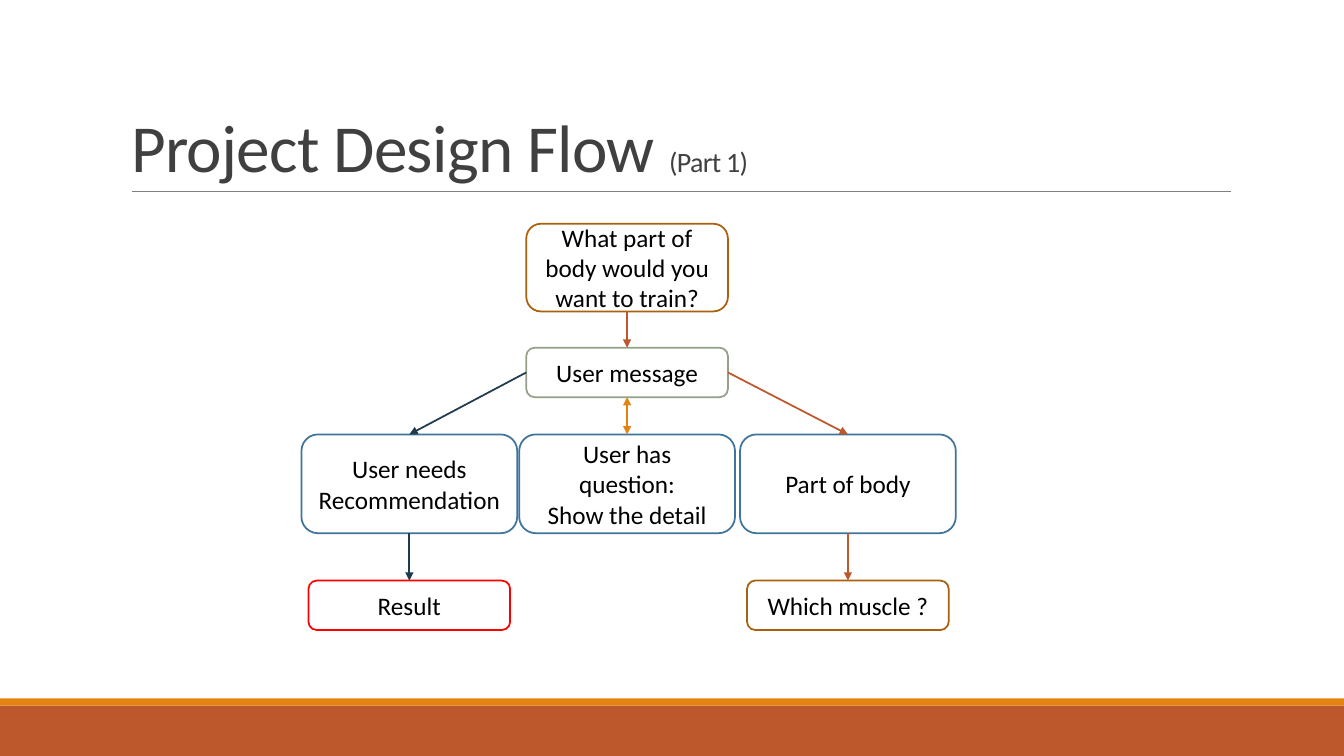
from pptx import Presentation
from pptx import util as u
from pptx.dml.color import RGBColor
from pptx.enum import shapes, text
from pptx.oxml.ns import qn
from lxml import etree

WHITE = RGBColor(0xFF, 0xFF, 0xFF)
BLACK = RGBColor(0, 0, 0)
CHARCOAL = RGBColor(0x40, 0x40, 0x40)
GREY = RGBColor(0x80, 0x80, 0x80)
RUST = RGBColor(0xBD, 0x58, 0x2C)
ORANGE = RGBColor(0xE4, 0x83, 0x12)
BROWN = RGBColor(0xA9, 0x61, 0x0D)
SAGE = RGBColor(0x94, 0xA0, 0x88)
BLUE = RGBColor(0x40, 0x74, 0x9B)
NAVY = RGBColor(0x20, 0x3A, 0x4E)
RED = RGBColor(0xFF, 0, 0)
TOP, LEFT, BOTTOM, RIGHT = range(4)


def write(paragraph, words, size=18, color=BLACK, align=text.PP_ALIGN.CENTER, spacing=None):
    paragraph.alignment = align
    run = paragraph.add_run()
    run.text = words
    run.font.name = "Calibri"
    run.font.size = u.Pt(size)
    run.font.color.rgb = color
    if spacing is not None:
        run._r.get_or_add_rPr().set("spc", str(int(spacing * 100)))


def draw_line(slide, start, end, color, width, heads=()):
    ends = [u.Inches(value) for value in (*start, *end)]
    line = slide.shapes.add_connector(shapes.MSO_CONNECTOR.STRAIGHT, *ends)
    line.line.color.rgb = color
    line.line.width = u.Pt(width)
    outline = line.line._get_or_add_ln()
    for head in heads:
        etree.SubElement(outline, qn(head), type="triangle")
    etree.SubElement(line._element.spPr, qn("a:effectLst"))
    return line


def draw_footer(slide, left, top, width, height):
    stripe = 0.07
    for y, depth, color in ((top + stripe, height - stripe, RUST), (top, stripe, ORANGE)):
        band = slide.shapes.add_shape(
            shapes.MSO_SHAPE.RECTANGLE, u.Inches(left), u.Inches(y), u.Inches(width), u.Inches(depth))
        band.shadow.inherit = False
        band.fill.solid()
        band.fill.fore_color.rgb = color
        band.line.fill.background()


def draw_title(slide, left, top, width, height):
    title = slide.shapes.title
    title.left, title.top = u.Inches(left), u.Inches(top)
    title.width, title.height = u.Inches(width), u.Inches(height)
    frame = title.text_frame
    frame.auto_size = text.MSO_AUTO_SIZE.NONE
    frame.vertical_anchor = text.MSO_ANCHOR.BOTTOM
    heading = frame.paragraphs[0]
    heading.line_spacing = 0.85
    for words, size in (("Project Design Flow ", 48), ("(Part 1)", 20)):
        write(heading, words, size=size, color=CHARCOAL, align=text.PP_ALIGN.LEFT, spacing=-0.5)
    bottom = top + height
    draw_line(slide, (left + 0.11, bottom), (left + width + 0.01, bottom), GREY, 0.5)


def draw_step(slide, center, top, width, height, lines, color, fill=None):
    step = slide.shapes.add_shape(
        shapes.MSO_SHAPE.ROUNDED_RECTANGLE, u.Inches(center - width / 2), u.Inches(top),
        u.Inches(width), u.Inches(height))
    step.shadow.inherit = False
    if fill is None:
        step.fill.background()
    else:
        step.fill.solid()
        step.fill.fore_color.rgb = fill
    step.line.color.rgb = color
    step.line.width = u.Pt(1.25)
    frame = step.text_frame
    frame.word_wrap = True
    frame.vertical_anchor = text.MSO_ANCHOR.MIDDLE
    for index, words in enumerate(lines):
        write(frame.add_paragraph() if index else frame.paragraphs[0], words)
    return step


def join(slide, source, source_side, target, target_side, color, both_ways=False):
    heads = ("a:headEnd", "a:tailEnd") if both_ways else ("a:tailEnd",)
    arrow = draw_line(slide, (0, 0), (0, 0), color, 1.25, heads)
    arrow.begin_connect(source, source_side)
    arrow.end_connect(target, target_side)


def draw_flow(slide, left, top, width):
    wide, narrow, low = 2.14, 2, 0.49
    first, middle, last = left + wide / 2, left + 3.23, left + width - wide / 2
    message_top, branch_top, outcome_top = top + 1.23, top + 2.09, top + 3.54

    question = draw_step(slide, middle, top, narrow, 0.87,
                         ["What part of body would you want to train?"], BROWN)
    message = draw_step(slide, middle, message_top, narrow, low, ["User message"], SAGE, fill=WHITE)
    recommendation, detail, body_part = [
        draw_step(slide, center, branch_top, wide, 0.98, lines, BLUE)
        for center, lines in (
            (first, ["User needs Recommendation"]),
            (middle, ["User has question:", "Show the detail"]),
            (last, ["Part of body"]))]
    muscle = draw_step(slide, last, outcome_top, narrow, low, ["Which muscle ?"], BROWN)
    result = draw_step(slide, first, outcome_top, narrow, low, ["Result"], RED)

    join(slide, question, BOTTOM, message, TOP, RUST)
    join(slide, message, LEFT, recommendation, TOP, NAVY)
    join(slide, message, RIGHT, body_part, TOP, RUST)
    join(slide, message, BOTTOM, detail, TOP, ORANGE, both_ways=True)
    join(slide, body_part, BOTTOM, muscle, TOP, RUST)
    join(slide, recommendation, BOTTOM, result, TOP, NAVY)


def main():
    deck = Presentation()
    deck.slide_width, deck.slide_height = u.Inches(13.33), u.Inches(7.5)
    slide = deck.slides.add_slide(deck.slide_layouts[5])
    draw_footer(slide, 0, 6.93, 13.33, 0.57)
    draw_title(slide, 1.2, 0.31, 11, 1.59)
    draw_flow(slide, 2.99, 2.22, 6.49)
    deck.save("out.pptx")


if __name__ == "__main__":
    main()
